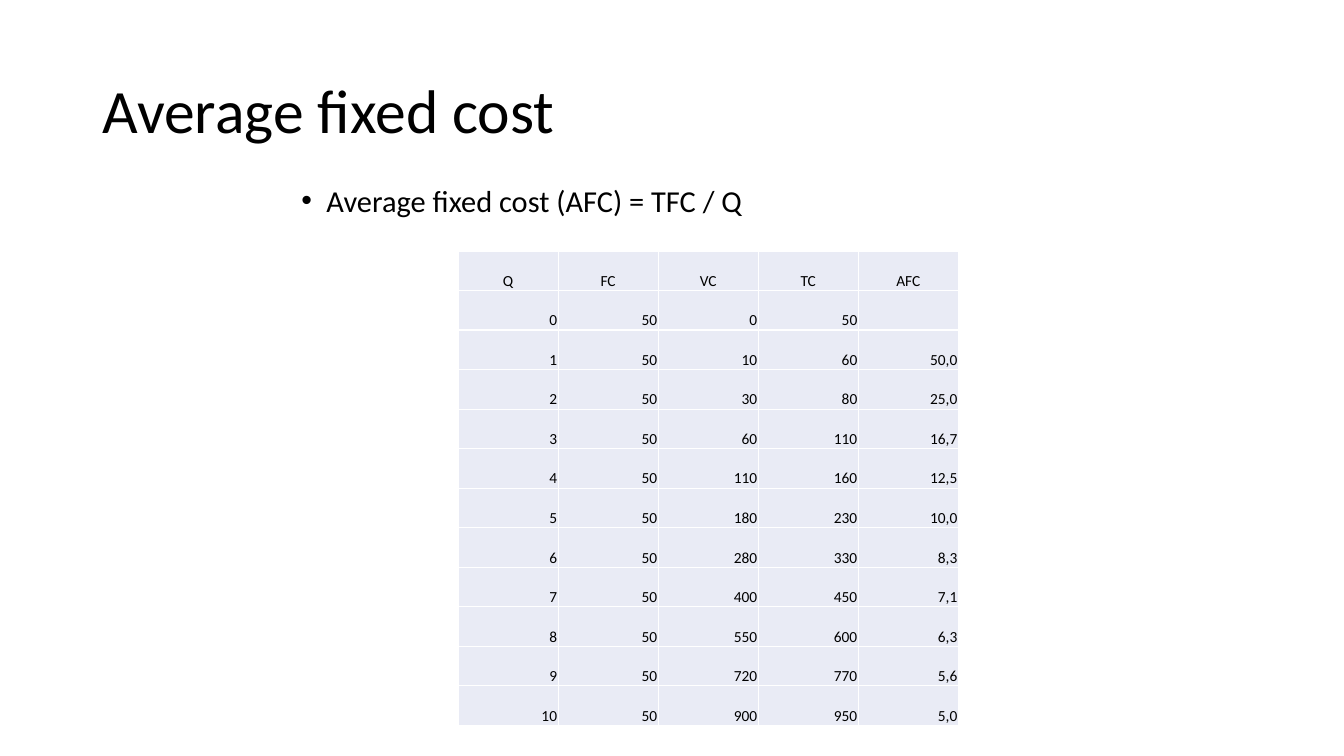
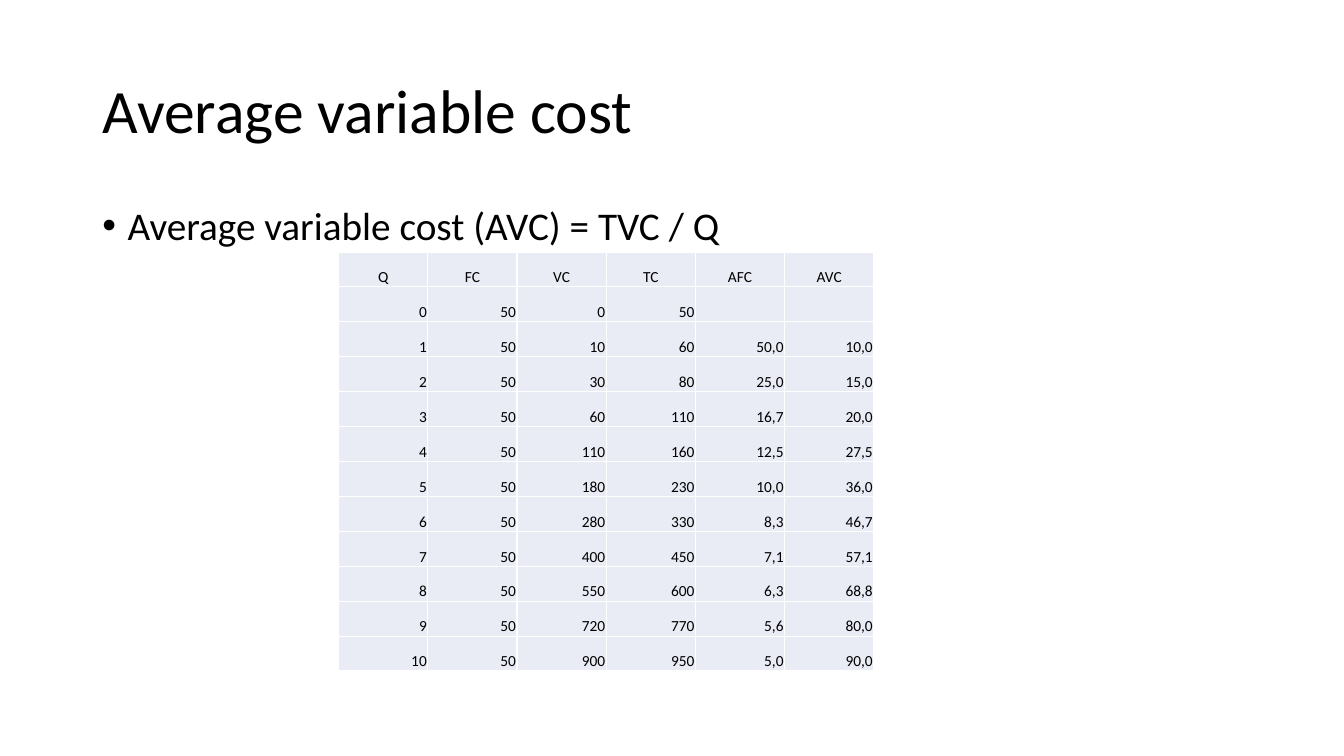
from math import floor

from lxml.etree import SubElement
from pptx import Presentation
from pptx.dml.color import RGBColor
from pptx.enum.text import MSO_ANCHOR, MSO_AUTO_SIZE, PP_ALIGN
from pptx.oxml.ns import qn
from pptx.util import Inches, Pt

COLORS = {"text": "000000", "cell": "E9EBF5", "border": "FFFFFF", "background": "FFFFFF"}
FONT = "Calibri"
SLIDE_WIDTH, SLIDE_HEIGHT = Inches(13.33), Inches(7.5)
TITLE_BOX = (6.88, 5.33, 86.25, 19.33)
FIXED_COST = 50
VARIABLE_COSTS = [0, 10, 30, 60, 110, 180, 280, 400, 550, 720, 900]

SLIDES = [
    {
        "title": "Average fixed cost",
        "formula": "Average fixed cost (AFC) = TFC / Q",
        "formula_box": (21.68, 24.8, 63.75, 5.07),
        "formula_size": 21.7,
        "formula_spacing": 0.7,
        "headings": ["Q", "FC", "VC", "TC", "AFC"],
        "table_box": (34.08, 33.2, 37.24, 62.8),
    },
    {
        "title": "Average variable cost",
        "formula": "Average variable cost (AVC) = TVC / Q",
        "formula_box": (6.88, 26.67, 86.25, 63.47),
        "formula_size": 28,
        "formula_spacing": 0.9,
        "headings": ["Q", "FC", "VC", "TC", "AFC", "AVC"],
        "table_box": (25.2, 33.33, 39.83, 55.47),
    },
]


def box_from_percent(box):
    left, top, width, height = box
    return (
        int(SLIDE_WIDTH * left / 100),
        int(SLIDE_HEIGHT * top / 100),
        int(SLIDE_WIDTH * width / 100),
        int(SLIDE_HEIGHT * height / 100),
    )


def add_run(paragraph, text, size):
    run = paragraph.add_run()
    run.text = text
    run.font.name = FONT
    run.font.size = Pt(size)
    run.font.color.rgb = RGBColor.from_string(COLORS["text"])


def add_title(slide, text, box):
    title = slide.shapes.title
    title.left, title.top, title.width, title.height = box_from_percent(box)
    frame = title.text_frame
    frame.auto_size = MSO_AUTO_SIZE.NONE
    frame.vertical_anchor = MSO_ANCHOR.MIDDLE
    paragraph = frame.paragraphs[0]
    paragraph.alignment = PP_ALIGN.LEFT
    paragraph.line_spacing = 0.9
    add_run(paragraph, text, 44)


def add_formula(slide, text, box, size, spacing):
    frame = slide.shapes.add_textbox(*box_from_percent(box)).text_frame
    frame.word_wrap = True
    paragraph = frame.paragraphs[0]
    paragraph.line_spacing = spacing
    paragraph.space_before = Pt(10)
    properties = paragraph._p.get_or_add_pPr()
    properties.set("marL", str(Inches(0.25)))
    properties.set("indent", str(-Inches(0.25)))
    SubElement(properties, qn("a:buFont"), typeface="Arial")
    SubElement(properties, qn("a:buChar"), char="•")
    add_run(paragraph, text, size)


def average(cost, quantity):
    if quantity == 0:
        return ""
    rounded = floor(cost / quantity * 10 + 0.5) / 10
    return f"{rounded:.1f}".replace(".", ",")


def cost_row(quantity, variable_cost):
    return {
        "Q": str(quantity),
        "FC": str(FIXED_COST),
        "VC": str(variable_cost),
        "TC": str(FIXED_COST + variable_cost),
        "AFC": average(FIXED_COST, quantity),
        "AVC": average(variable_cost, quantity),
    }


def format_cell(cell, text, alignment):
    cell.margin_left = cell.margin_right = cell.margin_top = Inches(0.01)
    cell.margin_bottom = 0
    cell.vertical_anchor = MSO_ANCHOR.BOTTOM
    properties = cell._tc.get_or_add_tcPr()
    for side in ("lnL", "lnR", "lnT", "lnB"):
        line = SubElement(properties, qn(f"a:{side}"), w=str(Pt(1)))
        line_fill = SubElement(line, qn("a:solidFill"))
        SubElement(line_fill, qn("a:srgbClr"), val=COLORS["border"])
    cell.fill.solid()
    cell.fill.fore_color.rgb = RGBColor.from_string(COLORS["cell"])
    paragraph = cell.text_frame.paragraphs[0]
    paragraph.alignment = alignment
    if text:
        add_run(paragraph, text, 11)


def add_cost_table(slide, headings, box):
    left, top, width, height = box_from_percent(box)
    costs = [cost_row(*pair) for pair in enumerate(VARIABLE_COSTS)]
    rows = [headings] + [[cost[name] for name in headings] for cost in costs]
    table = slide.shapes.add_table(
        len(rows), len(headings), left, top, width, height
    ).table
    for column in table.columns:
        column.width = width // len(headings)
    for row_index, row in enumerate(rows):
        table.rows[row_index].height = height // len(rows)
        alignment = PP_ALIGN.RIGHT if row_index else PP_ALIGN.CENTER
        for column_index, text in enumerate(row):
            format_cell(table.cell(row_index, column_index), text, alignment)


def add_cost_slide(presentation, content):
    slide = presentation.slides.add_slide(presentation.slide_layouts[5])
    slide.background.fill.solid()
    slide.background.fill.fore_color.rgb = RGBColor.from_string(COLORS["background"])
    add_title(slide, content["title"], TITLE_BOX)
    add_formula(
        slide,
        content["formula"],
        content["formula_box"],
        content["formula_size"],
        content["formula_spacing"],
    )
    add_cost_table(slide, content["headings"], content["table_box"])


def main():
    presentation = Presentation()
    presentation.slide_width = SLIDE_WIDTH
    presentation.slide_height = SLIDE_HEIGHT
    for content in SLIDES:
        add_cost_slide(presentation, content)
    presentation.save("out.pptx")


if __name__ == "__main__":
    main()
